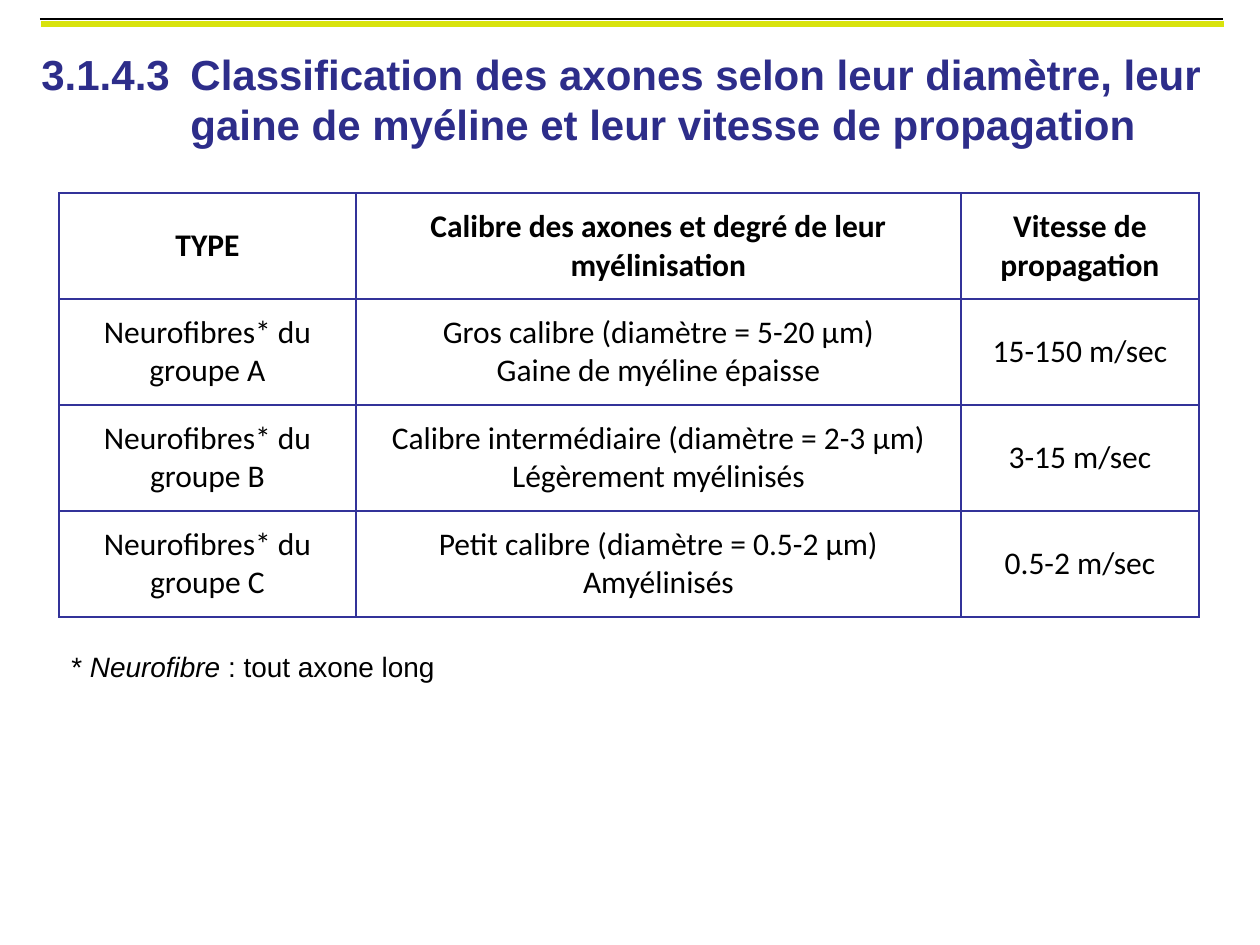
from lxml.etree import SubElement
from pptx import Presentation
from pptx.dml.color import RGBColor
from pptx.enum.shapes import MSO_CONNECTOR as Connector
from pptx.enum.text import MSO_ANCHOR as Anchor, MSO_AUTO_SIZE as AutoSize, PP_ALIGN as Align
from pptx.oxml.ns import qn
from pptx.util import Pt

EMU_PER_PX = 914400 / 126
COLORS = {"title": "2D2D8A", "text": "000000", "border": "333399",
          "accent": "D9E30D", "background": "FFFFFF"}
TITLE = {"name": "Arial", "size": Pt(24), "bold": True}
HEADER = {"name": "Calibri", "size": Pt(18), "bold": True}
BODY = {**HEADER, "bold": False}
NOTE = {"name": "Arial", "size": Pt(16)}

ROWS = [
    ["TYPE", "Calibre des axones et degré de leur myélinisation", "Vitesse de propagation"],
    ["Neurofibres* du groupe A",
     "Gros calibre (diamètre = 5-20 μm)\nGaine de myéline épaisse", "15-150 m/sec"],
    ["Neurofibres* du groupe B",
     "Calibre intermédiaire (diamètre = 2-3 μm)\nLégèrement myélinisés", "3-15 m/sec"],
    ["Neurofibres* du\ngroupe C",
     "Petit calibre (diamètre = 0.5-2 μm) Amyélinisés", "0.5-2 m/sec"],
]


def px(value):
    return round(value * EMU_PER_PX)


def rgb(name):
    return RGBColor.from_string(COLORS[name])


class SlideBuilder:
    """Holds the current slide and draws its elements in one style."""

    def __init__(self, slide):
        self.slide = slide

    def format_font(self, font, values, color="text"):
        for name, value in values.items():
            setattr(font, name, value)
        font.color.rgb = rgb(color)

    def rule(self, left, y, width, color, points):
        line = self.slide.shapes.add_connector(
            Connector.STRAIGHT, px(left), px(y), px(left + width), px(y))
        line.line.color.rgb = rgb(color)
        line.line.width = Pt(points)
        SubElement(line._element.spPr, qn("a:effectLst"))

    def text(self, box, runs, style, color="text", wrap=True, hanging=0):
        """Add one paragraph of (text, extra format) runs with a hanging indent."""
        frame = self.slide.shapes.add_textbox(*map(px, box)).text_frame
        frame.word_wrap = wrap
        frame.auto_size = AutoSize.SHAPE_TO_FIT_TEXT
        paragraph = frame.paragraphs[0]
        if hanging:
            properties = paragraph._p.get_or_add_pPr()
            properties.set("marL", str(px(hanging)))
            properties.set("indent", str(-px(hanging)))
        for content, extra in runs:
            run = paragraph.add_run()
            run.text = content
            self.format_font(run.font, {**style, **extra}, color)

    def border(self, cell):
        properties = cell._tc.get_or_add_tcPr()
        for index, side in enumerate(("lnL", "lnR", "lnT", "lnB")):
            line = properties.makeelement(qn(f"a:{side}"), {"w": str(Pt(1))})
            fill = SubElement(line, qn("a:solidFill"))
            SubElement(fill, qn("a:srgbClr"), val=COLORS["border"])
            properties.insert(index, line)

    def table(self, left, top, column_widths, row_height, rows):
        table = self.slide.shapes.add_table(
            len(rows), len(column_widths), px(left), px(top),
            px(sum(column_widths)), px(row_height * len(rows))).table
        for column, width in zip(table.columns, column_widths):
            column.width = px(width)
        for row_index, contents in enumerate(rows):
            table.rows[row_index].height = px(row_height)
            for column_index, content in enumerate(contents):
                cell = table.cell(row_index, column_index)
                cell.text = content
                cell.vertical_anchor = Anchor.MIDDLE
                cell.fill.solid()
                cell.fill.fore_color.rgb = rgb("background")
                self.border(cell)
                for paragraph in cell.text_frame.paragraphs:
                    paragraph.alignment = Align.CENTER
                    for run in paragraph.runs:
                        self.format_font(run.font, BODY if row_index else HEADER)


def main():
    presentation = Presentation()
    presentation.slide_width, presentation.slide_height = px(1260), px(945)
    builder = SlideBuilder(presentation.slides.add_slide(presentation.slide_layouts[6]))
    builder.rule(41, 24, 1183, "accent", 3)
    builder.rule(40, 19, 1183, "text", 1.5)
    builder.text((29, 42, 1191, 115),
                 [("3.1.4.3\tClassification des axones selon leur diamètre, leur gaine "
                   "de myéline et leur vitesse de propagation", {})],
                 TITLE, "title", hanging=149)
    builder.table(59, 193, [297, 605, 238], 106, ROWS)
    builder.text((59, 643, 393, 47),
                 [("* ", {}), ("Neurofibre ", {"italic": True}), (": tout axone long", {})],
                 NOTE, wrap=False)
    presentation.save("out.pptx")


if __name__ == "__main__":
    main()
